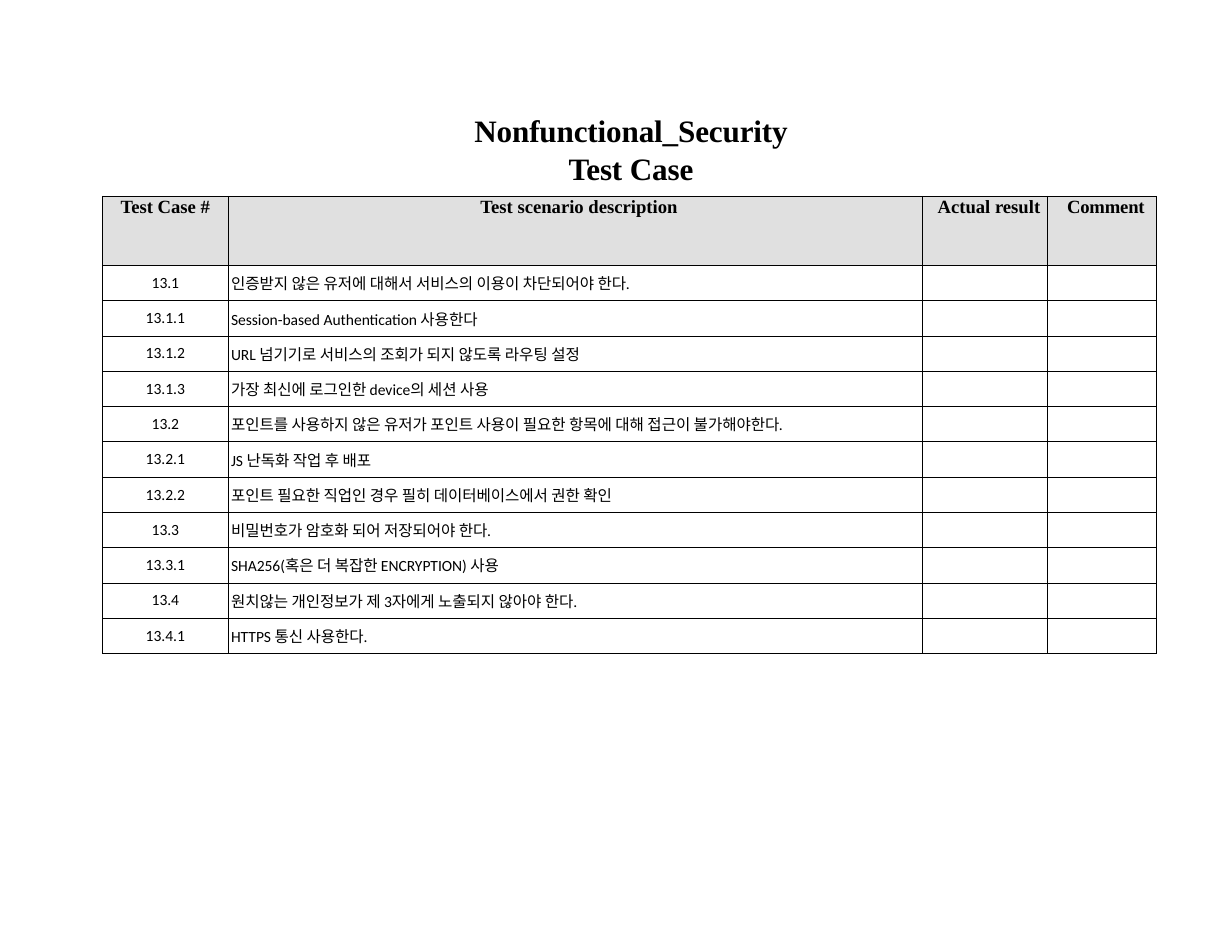
from dataclasses import dataclass

from lxml.etree import SubElement
from pptx import Presentation
from pptx.dml.color import RGBColor
from pptx.enum.text import MSO_ANCHOR, MSO_AUTO_SIZE, PP_ALIGN
from pptx.oxml.ns import qn
from pptx.util import Cm, Pt


@dataclass(frozen=True)
class Theme:
    """Colours, fonts and type sizes of the test sheet."""
    ink: RGBColor = RGBColor(0, 0, 0)
    header_fill: RGBColor = RGBColor(0xE0, 0xE0, 0xE0)
    heading_font: str = "Times New Roman"
    body_font: str = "Calibri"
    title_size: Pt = Pt(20)
    header_size: Pt = Pt(12)
    body_size: Pt = Pt(10)
    header_leading: Pt = Pt(13.8)
    rule: Pt = Pt(0.5)


HEADINGS = ["Test Case #", "Test scenario description", "Actual result", "Comment"]
SCENARIOS = [
    ("13.1", "인증받지 않은 유저에 대해서 서비스의 이용이 차단되어야 한다."),
    ("13.1.1", "Session-based Authentication 사용한다"),
    ("13.1.2", "URL 넘기기로 서비스의 조회가 되지 않도록 라우팅 설정"),
    ("13.1.3", "가장 최신에 로그인한 device의 세션 사용"),
    ("13.2", "포인트를 사용하지 않은 유저가 포인트 사용이 필요한 항목에 대해 접근이 불가해야한다."),
    ("13.2.1", "JS 난독화 작업 후 배포"),
    ("13.2.2", "포인트 필요한 직업인 경우 필히 데이터베이스에서 권한 확인"),
    ("13.3", "비밀번호가 암호화 되어 저장되어야 한다."),
    ("13.3.1", "SHA256(혹은 더 복잡한 ENCRYPTION) 사용"),
    ("13.4", "원치않는 개인정보가 제 3자에게 노출되지 않아야 한다."),
    ("13.4.1", "HTTPS 통신 사용한다."),
]
COLUMN_WIDTHS = [2.84, 15.75, 2.84, 2.46]
HEADER_HEIGHT, ROW_HEIGHT = 1.57, 0.8


def apply(target, formats):
    """Set every attribute named in formats on target."""
    for attribute, value in formats.items():
        setattr(target, attribute, value)


class TestSheet:
    """Builds the parts of one slide in one theme."""

    def __init__(self, slide, theme):
        self.slide, self.theme = slide, theme
        self.heading = {"name": theme.heading_font, "bold": True}
        self.body = {"name": theme.body_font, "size": theme.body_size, "bold": False}

    def fill_text(self, frame, text, font, paragraph_format, spacing=0, indent=0):
        """Fill a frame with one formatted paragraph."""
        frame.text = text
        paragraph = frame.paragraphs[0]
        apply(paragraph, paragraph_format)
        if indent:
            paragraph._p.get_or_add_pPr().set("marL", str(Cm(indent)))
        for run in paragraph.runs:
            apply(run.font, font)
            run.font.color.rgb = self.theme.ink
            if spacing:
                run._r.get_or_add_rPr().set("spc", str(spacing))

    def title(self, text, left, top, width, height):
        """Place and fill the title placeholder."""
        title = self.slide.shapes.title
        apply(title, {"left": Cm(left), "top": Cm(top),
                      "width": Cm(width), "height": Cm(height)})
        apply(title.text_frame, {
            "margin_left": 0, "margin_right": 0, "margin_top": Cm(0.03),
            "margin_bottom": 0, "word_wrap": True, "vertical_anchor": MSO_ANCHOR.TOP,
            "auto_size": MSO_AUTO_SIZE.SHAPE_TO_FIT_TEXT})
        self.fill_text(title.text_frame, text,
                       {**self.heading, "size": self.theme.title_size},
                       {"alignment": PP_ALIGN.CENTER, "space_before": Pt(0)},
                       spacing=-10, indent=0.03)

    def border(self, cell):
        """Rule all four sides of a cell."""
        properties = cell._tc.get_or_add_tcPr()
        for position, side in enumerate(("a:lnL", "a:lnR", "a:lnT", "a:lnB")):
            line = SubElement(properties, qn(side), w=str(self.theme.rule))
            fill = SubElement(line, qn("a:solidFill"))
            SubElement(fill, qn("a:srgbClr"), val=str(self.theme.ink))
            properties.insert(position, line)

    def header_cell(self, cell, column):
        """Fill one shaded column heading."""
        cell.fill.solid()
        cell.fill.fore_color.rgb = self.theme.header_fill
        self.fill_text(cell.text_frame, HEADINGS[column],
                       {**self.heading, "size": self.theme.header_size},
                       {"alignment": PP_ALIGN.CENTER,
                        "line_spacing": self.theme.header_leading},
                       spacing=-10 if column == len(HEADINGS) - 1 else 0,
                       indent=0.18 if column else 0)

    def body_cell(self, cell, text, alignment):
        """Fill one entry of a test case."""
        apply(cell, {"margin_left": Cm(0.07), "margin_right": Cm(0.07),
                     "vertical_anchor": MSO_ANCHOR.MIDDLE})
        self.fill_text(cell.text_frame, text, self.body, {"alignment": alignment})

    def test_table(self, left, top):
        """Add the table of test cases."""
        height = HEADER_HEIGHT + ROW_HEIGHT * len(SCENARIOS)
        table = self.slide.shapes.add_table(
            len(SCENARIOS) + 1, len(HEADINGS), Cm(left), Cm(top),
            Cm(sum(COLUMN_WIDTHS)), Cm(height)).table
        for column, width in zip(table.columns, COLUMN_WIDTHS):
            column.width = Cm(width)
        for index, row in enumerate(table.rows):
            row.height = Cm(ROW_HEIGHT if index else HEADER_HEIGHT)
        for cell in table.iter_cells():
            apply(cell, {f"margin_{side}": 0 for side in ("left", "right", "top", "bottom")})
            cell.fill.background()
            self.border(cell)
        for column in range(len(HEADINGS)):
            self.header_cell(table.cell(0, column), column)
        for row, (number, scenario) in enumerate(SCENARIOS, 1):
            self.body_cell(table.cell(row, 0), number, PP_ALIGN.CENTER)
            self.body_cell(table.cell(row, 1), scenario, PP_ALIGN.LEFT)


def main():
    """Build and save the security test sheet."""
    presentation = Presentation()
    apply(presentation, {"slide_width": Cm(27.94), "slide_height": Cm(21.59)})
    slide = presentation.slides.add_slide(presentation.slide_layouts[5])
    sheet = TestSheet(slide, Theme())
    sheet.title("Nonfunctional_Security\vTest Case", 9.53, 2.5, 9.53, 1.75)
    sheet.test_table(2.33, 4.45)
    presentation.save("out.pptx")


if __name__ == "__main__":
    main()
